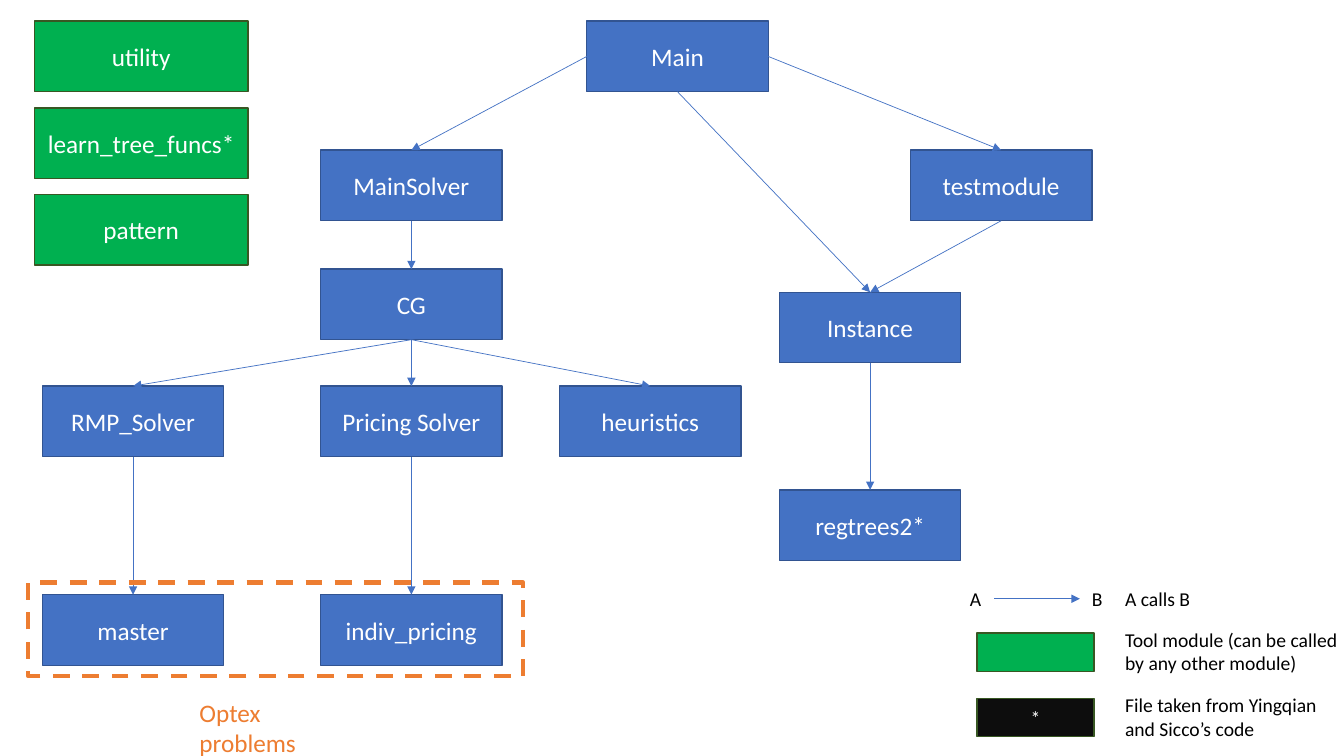
import pptx
import pptx.dml.color
import pptx.enum.dml
import pptx.enum.shapes
import pptx.enum.text
import pptx.oxml.ns
import pptx.util
from lxml import etree

Inches, Pt = pptx.util.Inches, pptx.util.Pt
RGBColor = pptx.dml.color.RGBColor
PP_ALIGN = pptx.enum.text.PP_ALIGN
qn = pptx.oxml.ns.qn

BLUE = RGBColor(0x44, 0x72, 0xC4)
DARK_BLUE = RGBColor(0x32, 0x54, 0x91)
GREEN = RGBColor(0x00, 0xB0, 0x50)
DARK_GREEN = RGBColor(0x38, 0x57, 0x23)
ORANGE = RGBColor(0xED, 0x7D, 0x31)
NEAR_BLACK = RGBColor(0x0D, 0x0D, 0x0D)
BLACK = RGBColor(0x00, 0x00, 0x00)
WHITE = RGBColor(0xFF, 0xFF, 0xFF)

MODULE_W, MODULE_H = 1.8, 0.7
TOP, LEFT, BOTTOM, RIGHT = range(4)

MODULES = {
    "Main": (5.4, 0),
    "MainSolver": (2.76, 1.28),
    "testmodule": (8.61, 1.28),
    "CG": (2.76, 2.46),
    "Instance": (7.31, 2.69),
    "RMP_Solver": (0, 3.62),
    "Pricing Solver": (2.76, 3.62),
    "heuristics": (5.13, 3.62),
    "regtrees2*": (7.31, 4.65),
    "master": (0, 5.69),
    "indiv_pricing": (2.76, 5.69),
}
CALLS = [
    ("Main", LEFT, "MainSolver"),
    ("Main", BOTTOM, "Instance"),
    ("Main", RIGHT, "testmodule"),
    ("testmodule", BOTTOM, "Instance"),
    ("Instance", BOTTOM, "regtrees2*"),
    ("MainSolver", BOTTOM, "CG"),
    ("CG", BOTTOM, "RMP_Solver"),
    ("CG", BOTTOM, "Pricing Solver"),
    ("CG", BOTTOM, "heuristics"),
    ("RMP_Solver", BOTTOM, "master"),
    ("Pricing Solver", BOTTOM, "indiv_pricing"),
]


def apply_format(target, values):
    for attribute, value in values.items():
        setattr(target, attribute, value)


def write(shape, text, size, color, align):
    shape.text_frame.text = text
    for paragraph in shape.text_frame.paragraphs:
        paragraph.alignment = align
        apply_format(paragraph.font, {"size": Pt(size), "name": "Calibri"})
        paragraph.font.color.rgb = color


def add_box(slide, box, fill, outline, text="", size=18):
    shape = slide.shapes.add_shape(
        pptx.enum.shapes.MSO_SHAPE.RECTANGLE, *map(Inches, box))
    shape.shadow.inherit = False
    if fill is None:
        shape.fill.background()
    else:
        shape.fill.solid()
        shape.fill.fore_color.rgb = fill
    shape.line.color.rgb = outline
    shape.line.width = Pt(1)
    if text:
        apply_format(shape.text_frame, {
            "word_wrap": True,
            "vertical_anchor": pptx.enum.text.MSO_ANCHOR.MIDDLE})
        write(shape, text, size, WHITE, PP_ALIGN.CENTER)
    return shape


def add_label(slide, box, text, size, color):
    label = slide.shapes.add_textbox(*map(Inches, box))
    label.text_frame.word_wrap = False
    write(label, text, size, color, PP_ALIGN.LEFT)


def add_arrow(slide, start=(0, 0), end=(0, 0)):
    arrow = slide.shapes.add_connector(
        pptx.enum.shapes.MSO_CONNECTOR.STRAIGHT, *map(Inches, start + end))
    arrow.line.color.rgb = BLUE
    arrow.line.width = Pt(0.5)
    etree.SubElement(arrow.line._get_or_add_ln(), qn("a:tailEnd"), type="triangle")
    etree.SubElement(arrow._element.spPr, qn("a:effectLst"))
    return arrow


def add_call_tree(slide, left, top):
    boxes = {
        name: add_box(slide, (left + x, top + y, MODULE_W, MODULE_H),
                      BLUE, DARK_BLUE, name)
        for name, (x, y) in MODULES.items()}
    for caller, side, callee in CALLS:
        call = add_arrow(slide)
        call.begin_connect(boxes[caller], side)
        call.end_connect(boxes[callee], TOP)


def add_tool_modules(slide, left, top, width, pitch):
    for row, name in enumerate(["utility", "learn_tree_funcs*", "pattern"]):
        add_box(slide, (left, top + row * pitch, width, MODULE_H),
                GREEN, DARK_GREEN, name)


def add_problem_group(slide, left, top, width, height):
    frame = add_box(slide, (left, top, width, height), None, ORANGE)
    apply_format(frame.line, {
        "width": Pt(3), "dash_style": pptx.enum.dml.MSO_LINE.DASH})
    add_label(slide, (left + 1.6, top + height + 0.16, 1.78, 0.4),
              "Optex problems", 18, ORANGE)


def add_legend(slide, left, top):
    for x, width, text in [(0, 0.32, "A"), (1.21, 0.31, "B"), (1.54, 0.85, "A calls B")]:
        add_label(slide, (left + x, top, width, 0.34), text, 14, BLACK)
    add_arrow(slide, (left + 0.34, top + 0.17), (left + 1.19, top + 0.17))
    keys = [
        (GREEN, "", "Tool module (can be called\nby any other module)", 2.33),
        (NEAR_BLACK, "*", "File taken from Yingqian\nand Sicco’s code", 2.12),
    ]
    for row, (fill, mark, meaning, width) in enumerate(keys):
        y = top + 0.41 + row * 0.65
        add_box(slide, (left + 0.17, y + 0.1, 1.16, 0.38), fill, DARK_GREEN, mark, 14)
        add_label(slide, (left + 1.54, y, width, 0.57), meaning, 14, BLACK)


def build_module_slide(deck):
    slide = deck.slides.add_slide(deck.slide_layouts[6])
    add_call_tree(slide, 0.42, 0.21)
    add_tool_modules(slide, 0.34, 0.21, 2.12, 0.86)
    add_problem_group(slide, 0.28, 5.78, 4.91, 0.93)
    add_legend(slide, 9.52, 5.77)


deck = pptx.Presentation()
apply_format(deck, {"slide_width": Inches(13.33), "slide_height": Inches(7.5)})
build_module_slide(deck)
deck.save("out.pptx")
